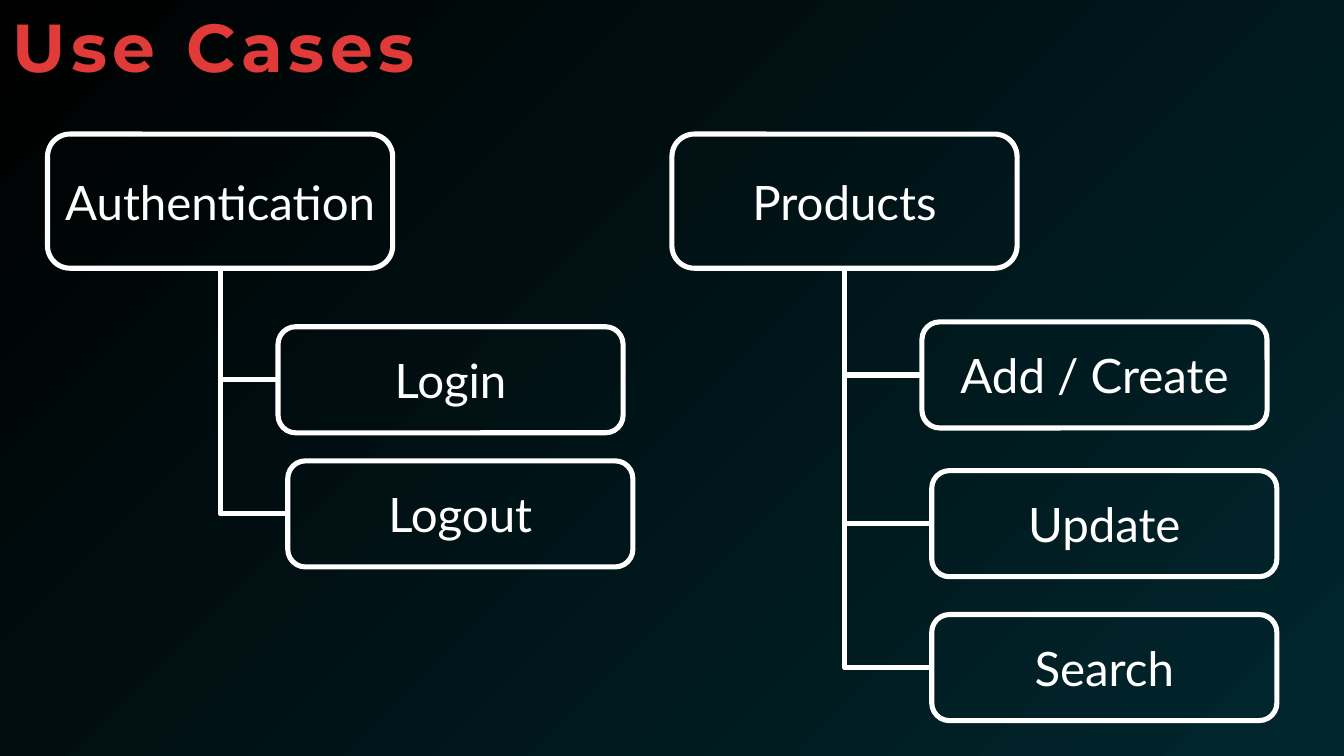
from dataclasses import dataclass

from lxml import etree
from pptx import Presentation
from pptx.dml.color import RGBColor
from pptx.enum import shapes, text
from pptx.oxml import ns
from pptx.util import Inches, Pt


@dataclass(frozen=True)
class Theme:
    background_start = RGBColor(0x00, 0x00, 0x00)
    background_end = RGBColor(0x00, 0x27, 0x2E)
    title_color = RGBColor(0xE0, 0x3B, 0x39)
    ink = RGBColor(0xFF, 0xFF, 0xFF)
    title_font = "Montserrat"
    label_font = "Lato"
    title_size = Pt(40)
    label_size = Pt(28)
    title_spacing = "340"  # hundredths of a point
    line_width = Pt(3)


THEME = Theme()
BOX_WIDTH, GROUP_HEIGHT, CASE_HEIGHT = 2.83, 1.1, 0.87
GROUP_TOP = 1.1

# Group name, left edge, and its cases as (label, left, top)
GROUPS = [
    ("Authentication", 0.39, [("Login", 2.28, 2.68), ("Logout", 2.36, 3.78)]),
    ("Products", 5.51, [("Add / Create", 7.56, 2.64),
                        ("Update", 7.64, 3.86),
                        ("Search", 7.64, 5.04)]),
]


def set_background(slide):
    fill = slide.background.fill
    fill.gradient()
    for stop, color in zip(fill.gradient_stops,
                           (THEME.background_start, THEME.background_end)):
        stop.color.rgb = color
    # Radiate from the top-left corner instead of along a line
    linear = next(slide.element.iter(ns.qn("a:lin")))
    radial = etree.Element(ns.qn("a:path"), path="circle")
    etree.SubElement(radial, ns.qn("a:fillToRect"), r="100000", b="100000")
    linear.getparent().replace(linear, radial)


def add_title(slide, label, left, top, width, height):
    title = slide.shapes.title
    title.left, title.top = Inches(left), Inches(top)
    title.width, title.height = Inches(width), Inches(height)
    frame = title.text_frame
    frame.text = label
    frame.word_wrap = True
    frame.vertical_anchor = text.MSO_ANCHOR.TOP
    frame.auto_size = text.MSO_AUTO_SIZE.SHAPE_TO_FIT_TEXT
    paragraph = frame.paragraphs[0]
    paragraph.alignment = text.PP_ALIGN.LEFT
    font = paragraph.font
    font.name, font.size, font.bold = THEME.title_font, THEME.title_size, True
    font.color.rgb = THEME.title_color
    paragraph.runs[0].font._element.set("spc", THEME.title_spacing)


def add_box(slide, label, left, top, width, height):
    box = slide.shapes.add_shape(
        shapes.MSO_SHAPE.ROUNDED_RECTANGLE,
        Inches(left), Inches(top), Inches(width), Inches(height))
    box.shadow.inherit = False
    box.fill.background()
    box.line.color.rgb = THEME.ink
    box.line.width = THEME.line_width
    frame = box.text_frame
    frame.text = label
    frame.word_wrap = False
    frame.vertical_anchor = text.MSO_ANCHOR.MIDDLE
    frame.margin_left = frame.margin_right = Inches(0.12)
    frame.margin_top = frame.margin_bottom = Inches(0.07)
    paragraph = frame.paragraphs[0]
    paragraph.alignment = text.PP_ALIGN.CENTER
    font = paragraph.font
    font.name, font.size = THEME.label_font, THEME.label_size
    font.color.rgb = THEME.ink
    return box


def add_branch(slide, group, case):
    """Run down from the group's bottom, then right to the case's left side."""
    connector = slide.shapes.add_connector(
        shapes.MSO_CONNECTOR.ELBOW, 0, 0, 0, 0)
    connector.begin_connect(group, 2)
    connector.end_connect(case, 1)
    connector.line.color.rgb = THEME.ink
    connector.line.width = THEME.line_width
    properties = connector._element.spPr
    etree.SubElement(properties, ns.qn("a:effectLst"))

    # One bend: a mirrored quarter turn, so width and height trade places
    start_x, start_y = group.left + group.width // 2, group.top + group.height
    end_x, end_y = case.left, case.top + case.height // 2
    across, down = end_x - start_x, end_y - start_y
    connector.left = (start_x + end_x - down) // 2
    connector.top = (start_y + end_y - across) // 2
    connector.width, connector.height = down, across
    properties.find(ns.qn("a:prstGeom")).set("prst", "bentConnector2")
    transform = properties.find(ns.qn("a:xfrm"))
    transform.set("rot", str(270 * 60000))
    transform.set("flipH", "1")


def add_group(slide, name, left, top, cases):
    group = add_box(slide, name, left, top, BOX_WIDTH, GROUP_HEIGHT)
    for label, case_left, case_top in cases:
        case = add_box(slide, label, case_left, case_top,
                       BOX_WIDTH, CASE_HEIGHT)
        add_branch(slide, group, case)


def main():
    presentation = Presentation()
    presentation.slide_width = Inches(11.02)
    presentation.slide_height = Inches(6.2)
    slide = presentation.slides.add_slide(
        presentation.slide_layouts.get_by_name("Title Only"))

    set_background(slide)
    add_title(slide, "Use Cases", 0, -0.01, 4.8, 0.87)
    for name, left, cases in GROUPS:
        add_group(slide, name, left, GROUP_TOP, cases)

    presentation.save("out.pptx")


if __name__ == "__main__":
    main()
